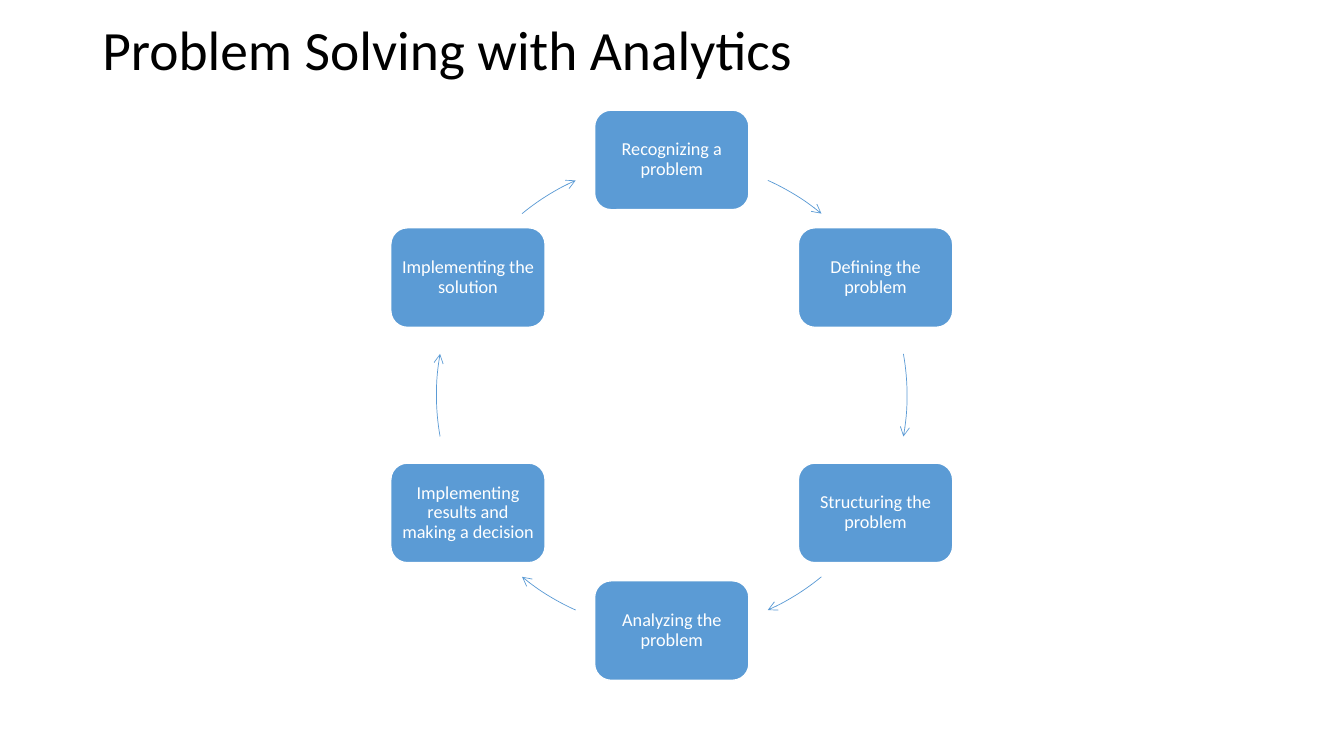
from math import cos, radians, sin
from lxml import etree
from pptx import Presentation
from pptx.dml.color import RGBColor
from pptx.enum.shapes import MSO_SHAPE
from pptx.enum.text import MSO_ANCHOR, PP_ALIGN
from pptx.oxml.ns import qn
from pptx.util import Cm, Pt

ROUND = MSO_SHAPE.ROUNDED_RECTANGLE
ARC = MSO_SHAPE.ARC
MID = MSO_ANCHOR.MIDDLE
LEFT, CENTER = PP_ALIGN.LEFT, PP_ALIGN.CENTER
HUES = {"blue": "5B9BD5", "white": "FFFFFF", "black": "000000"}


def hue(name):
    return RGBColor.from_string(HUES[name])


def write(shape, text, size=13, color="white", align=CENTER, pad=0.13):
    frame = shape.text_frame
    frame.word_wrap = True
    frame.vertical_anchor = MID
    frame.margin_left = frame.margin_right = Cm(pad)
    frame.margin_top = frame.margin_bottom = Cm(0.13)
    para = frame.paragraphs[0]
    para.alignment = align
    para.line_spacing = 0.9
    run = para.add_run()
    run.text = text
    run.font.name = "Calibri"
    run.font.size = Pt(size)
    run.font.color.rgb = hue(color)


deck = Presentation()
deck.slide_width, deck.slide_height = Cm(33.87), Cm(19.05)
slide = deck.slides.add_slide(deck.slide_layouts[6])
shapes = slide.shapes

title = shapes.add_textbox(Cm(2.33), Cm(0.61), Cm(29.21), Cm(1.45))
write(title, "Problem Solving with Analytics", size=39.6, color="black",
      align=LEFT, pad=0.25)

mid_x, mid_y, radius = 16.93, 9.96, 5.93
box_w, box_h = 3.89, 2.51
steps = [
    ("Recognizing a problem", 294.1, 309.5),
    ("Defining the problem", 349.9, 10.1),
    ("Structuring the problem", 50.5, 65.9),
    ("Analyzing the problem", 114.1, 129.5),
    ("Implementing results and making a decision", 169.9, 190.1),
    ("Implementing the solution", 230.5, 245.9),
]

for i, (label, start, end) in enumerate(steps):
    turn = radians(60 * i - 90)
    left = mid_x + radius * cos(turn) - box_w / 2
    top = mid_y + radius * sin(turn) - box_h / 2
    box = shapes.add_shape(ROUND, Cm(left), Cm(top), Cm(box_w), Cm(box_h))
    box.shadow.inherit = False
    box.fill.solid()
    box.fill.fore_color.rgb = hue("blue")
    box.line.color.rgb = hue("white")
    box.line.width = Pt(1)
    write(box, label)

    arc = shapes.add_shape(ARC, Cm(mid_x - radius), Cm(mid_y - radius),
                           Cm(2 * radius), Cm(2 * radius))
    arc.shadow.inherit = False
    arc.fill.background()
    arc.adjustments[0] = start * 0.6
    arc.adjustments[1] = end * 0.6
    arc.line.color.rgb = hue("blue")
    arc.line.width = Pt(0.5)
    etree.SubElement(arc.line._get_or_add_ln(), qn("a:tailEnd"), type="arrow")

deck.save("out.pptx")
